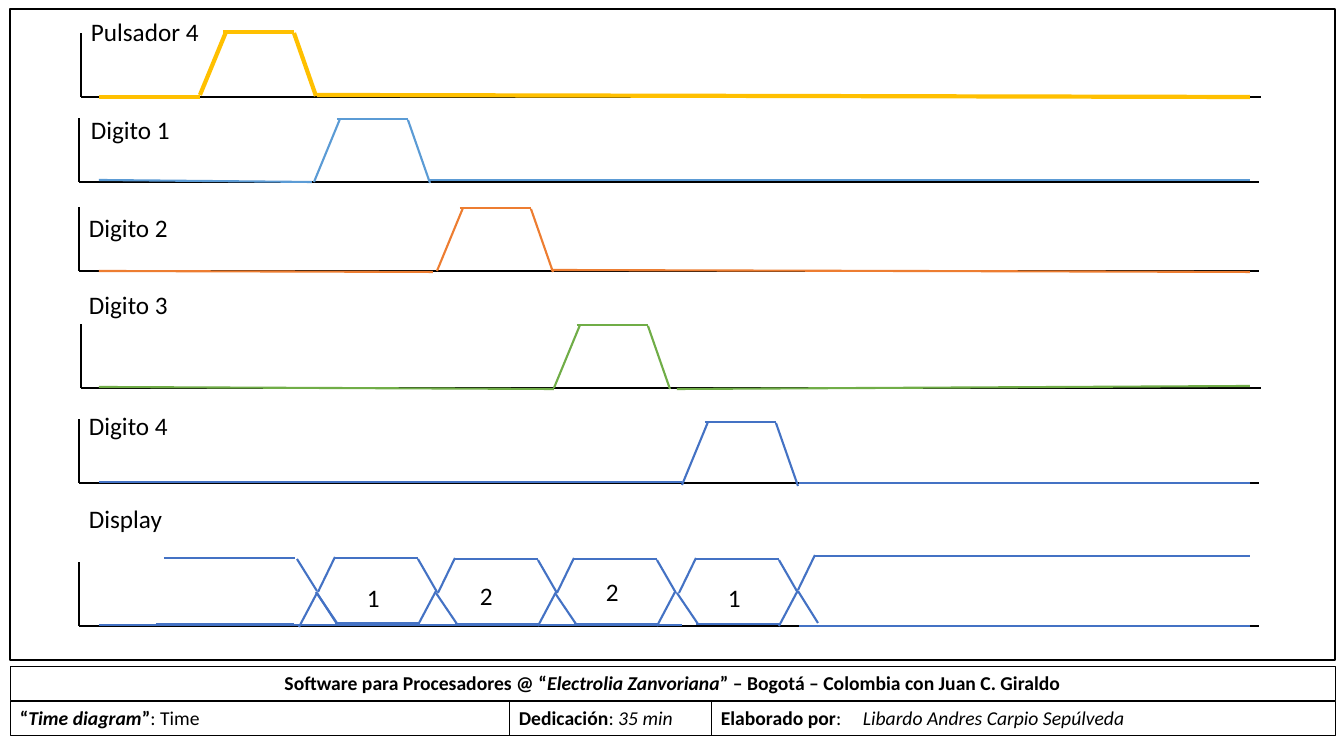
from lxml import etree
from pptx import Presentation
from pptx.dml.color import RGBColor
from pptx.enum.shapes import MSO_CONNECTOR, MSO_SHAPE
from pptx.enum.text import MSO_ANCHOR, PP_ALIGN
from pptx.oxml.ns import qn
from pptx.util import Pt

SCALE = 914400 / 100.8
STRAIGHT = MSO_CONNECTOR.STRAIGHT
RECTANGLE = MSO_SHAPE.RECTANGLE
MIDDLE = MSO_ANCHOR.MIDDLE
LEFT, CENTER = PP_ALIGN.LEFT, PP_ALIGN.CENTER
BLACK, GOLD, SKY, ORANGE, GREEN, BLUE = (
    "000000", "FFC000", "5B9BD5", "ED7D31", "70AD47", "4472C4")


def emu(pixels):
    return round(pixels * SCALE)


def color(value):
    return RGBColor.from_string(value)


class TimeDiagram:
    font = "Calibri"
    label_size = 18
    footer_size = 14
    axis_length = 1180
    axis_height = 64
    signal_start, signal_end = 99, 1250

    def __init__(self, slide):
        self.slide = slide

    def line(self, x1, y1, x2, y2, line_color=BLUE, weight=1.5):
        connector = self.slide.shapes.add_connector(
            STRAIGHT, emu(x1), emu(y1), emu(x2), emu(y2))
        connector.line.color.rgb = color(line_color)
        connector.line.width = Pt(weight)
        properties = connector._element.spPr
        etree.SubElement(properties, qn("a:effectLst"))

    def box(self, left, top, width, height, weight):
        shape = self.slide.shapes.add_shape(
            RECTANGLE, emu(left), emu(top), emu(width), emu(height))
        shape.shadow.inherit = False
        shape.fill.background()
        shape.line.color.rgb = color(BLACK)
        shape.line.width = Pt(weight)
        return shape

    def style(self, run, size, bold=False, italic=False):
        run.font.name = self.font
        run.font.size = Pt(size)
        run.font.bold = bold
        run.font.italic = italic
        run.font.color.rgb = color(BLACK)

    def label(self, text, left, top, width=237):
        shape = self.slide.shapes.add_textbox(
            emu(left), emu(top), emu(width), emu(40))
        shape.text_frame.word_wrap = True
        shape.text_frame.text = text
        self.style(shape.text_frame.paragraphs[0].runs[0], self.label_size)

    def footer_cell(self, left, top, width, runs, alignment=LEFT, tab=None):
        frame = self.box(left, top, width, 34, 0.25).text_frame
        frame.word_wrap = True
        frame.vertical_anchor = MIDDLE
        paragraph = frame.paragraphs[0]
        paragraph.alignment = alignment
        for text, marks in runs:
            run = paragraph.add_run()
            run.text = text
            self.style(run, self.footer_size, "b" in marks, "i" in marks)
        if tab:
            tabs = etree.SubElement(paragraph._p.get_or_add_pPr(), qn("a:tabLst"))
            etree.SubElement(tabs, qn("a:tab"), pos=str(emu(tab)), algn="l")

    def axes(self, x, base):
        self.line(x, base, x + self.axis_length, base, BLACK)
        self.line(x, base, x, base - self.axis_height, BLACK)

    def signal(self, pulse_x, pulse_base, lead, tail, line_color, weight):
        lead_y, lead_end, lead_end_y = lead
        tail_start, tail_y, tail_end_y = tail
        top = pulse_base - 63
        for x1, y1, x2, y2 in (
            (self.signal_start, lead_y, lead_end, lead_end_y),
            (pulse_x, pulse_base, pulse_x + 26, top),
            (pulse_x + 23, top, pulse_x + 94, top),
            (pulse_x + 94, top + 1, pulse_x + 116, pulse_base + 1),
            (tail_start, tail_y, self.signal_end, tail_end_y),
        ):
            self.line(x1, y1, x2, y2, line_color, weight)

    def bus_cell(self, x, y):
        for x1, y1, x2, y2 in (
            (0, 0, 17, -35), (17, -34, 100, -34), (100, -33, 119, 0),
            (-2, 0, 19, 31), (17, 31, 100, 31), (100, 33, 118, -1),
        ):
            self.line(x + x1, y + y1, x + x2, y + y2)


presentation = Presentation()
presentation.slide_width = emu(1344)
presentation.slide_height = emu(756)
diagram = TimeDiagram(
    presentation.slides.add_slide(presentation.slide_layouts[6]))

# Frame and footer
diagram.box(10, 9, 1325, 651, 1)
diagram.footer_cell(10, 666, 1325, [
    ("Software para Procesadores @ “", "b"),
    ("Electrolia Zanvoriana", "bi"),
    ("” – Bogotá – Colombia con Juan C. Giraldo", "b")], CENTER)
diagram.footer_cell(10, 701, 499, [
    ("“", "b"), ("Time diagram", "bi"), ("”", "b"), (": Time", "")])
diagram.footer_cell(509, 701, 202, [
    ("Dedicación", "b"), (": ", ""), ("35 min", "i")])
diagram.footer_cell(711, 701, 624, [
    ("Elaborado por", "b"), (":\t", ""),
    ("Libardo Andres Carpio Sepúlveda", "i")], tab=142)

# Axes with their labels: text, label left and top, axis left and base
for text, left, top, axis_x, base in (
    ("Pulsador 4", 81, 11, 81, 97),
    ("Digito 1", 81, 109, 79, 182),
    ("Digito 2", 79, 207, 79, 271),
    ("Digito 3", 79, 284, 81, 388),
    ("Digito 4", 79, 405, 79, 483),
    ("Display", 79, 498, 79, 626),
):
    diagram.axes(axis_x, base)
    diagram.label(text, left, top)

# Pulses: left, base, lead (y, end x, end y), tail (x, y, end y)
for pulse in (
    (200, 95, (97, 200, 97), (317, 95, 97), GOLD, 3),
    (314, 182, (180, 312, 182), (430, 180, 180), SKY, 1.5),
    (437, 271, (271, 433, 272), (551, 270, 272), ORANGE, 1.5),
    (554, 388, (387, 554, 389), (677, 389, 386), GREEN, 1.5),
    (682, 485, (482, 682, 482), (799, 483, 483), BLUE, 1.5),
):
    diagram.signal(*pulse)

# Display bus: resting levels and the crossings at both ends
for segment in (
    (99, 625, 682, 625), (799, 626, 1250, 626),
    (164, 558, 295, 558), (297, 559, 317, 591),
    (156, 624, 294, 624), (317, 593, 337, 624), (299, 627, 317, 593),
    (815, 556, 1250, 556), (798, 590, 815, 555), (798, 591, 818, 623),
):
    diagram.line(*segment)

# Display values: cell left and middle, text, text left and top
for x, y, value, left, top in (
    (318, 592, "1", 357, 577),
    (438, 593, "2", 470, 575),
    (557, 593, "2", 596, 571),
    (679, 593, "1", 718, 577),
):
    diagram.bus_cell(x, y)
    diagram.label(value, left, top, 69)

presentation.save("out.pptx")
